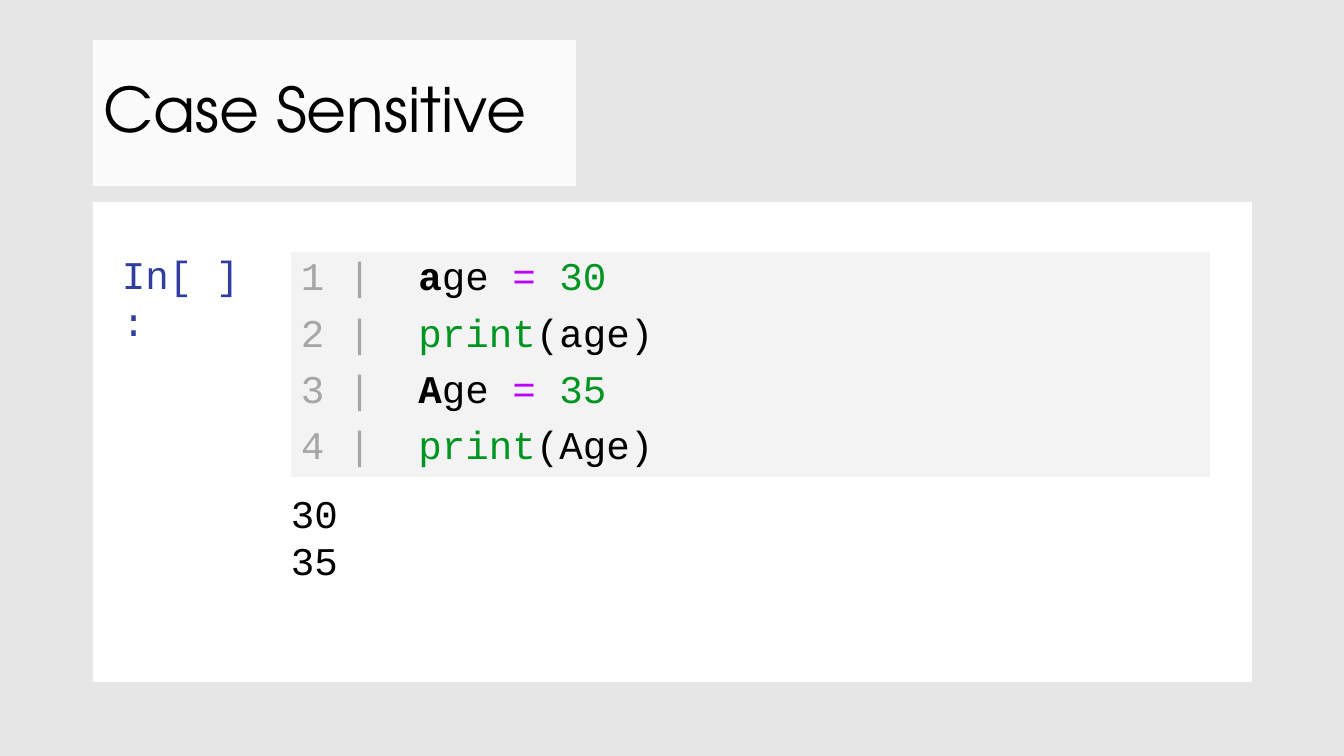
"""Build the "Case Sensitive" slide: a code cell and its printed output."""
from lxml import etree
from pptx import Presentation
from pptx import util as u
from pptx.dml.color import RGBColor
from pptx.enum import shapes, text
from pptx.oxml.ns import qn

PX = 914400 / 100.8
BLACK = RGBColor(0x00, 0x00, 0x00)
WHITE = RGBColor(0xFF, 0xFF, 0xFF)
BACKDROP = RGBColor(0xE7, 0xE6, 0xE6)
CELL = RGBColor(0xF2, 0xF2, 0xF2)
GUTTER = RGBColor(0xA6, 0xA6, 0xA6)
OPERATOR = RGBColor(0xBE, 0x00, 0xFE)
GREEN = RGBColor(0x00, 0x94, 0x21)
PROMPT = RGBColor(0x30, 0x3F, 0x9F)


def px(*lengths):
    return [u.Emu(round(length * PX)) for length in lengths]


def fill_panel(panel, color, opacity=100):
    panel.fill.solid()
    panel.fill.fore_color.rgb = color
    panel.line.fill.background()
    panel.shadow.inherit = False
    if opacity < 100:
        srgb = panel.fill._xPr.find(qn("a:solidFill"))[0]
        etree.SubElement(srgb, qn("a:alpha"), val=str(opacity * 1000))


deck = Presentation()
deck.slide_width, deck.slide_height = px(1344, 756)
slide = deck.slides.add_slide(deck.slide_layouts[5])
slide.background.fill.solid()
slide.background.fill.fore_color.rgb = BACKDROP

title = slide.shapes.title
title.left, title.top, title.width, title.height = px(93, 40, 483, 146)
fill_panel(title, WHITE, 87)
title.text_frame.text = "Case Sensitive"
title.text_frame.auto_size = text.MSO_AUTO_SIZE.NONE
title.text_frame.vertical_anchor = text.MSO_ANCHOR.MIDDLE
heading = title.text_frame.paragraphs[0]
heading.alignment = text.PP_ALIGN.LEFT
heading.line_spacing = 0.9
heading.font.name = "TeX Gyre Adventor"
heading.font.size = u.Pt(44)
heading.font.color.rgb = BLACK

notebook = slide.shapes.add_shape(shapes.MSO_SHAPE.RECTANGLE, *px(93, 202, 1159, 480))
fill_panel(notebook, WHITE)

code_cell = slide.shapes.add_shape(shapes.MSO_SHAPE.RECTANGLE, *px(291, 252, 919, 225))
fill_panel(code_cell, CELL, 87)
code = code_cell.text_frame
code.word_wrap = True
code.vertical_anchor = text.MSO_ANCHOR.TOP

statements = []
for initial, value in (("a", "30"), ("A", "35")):
    statements.append([(initial, BLACK), ("ge ", BLACK), ("= ", OPERATOR), (value, GREEN)])
    statements.append([("print", GREEN), (f"({initial}ge)", BLACK)])

for number, statement in enumerate(statements, 1):
    line = code.paragraphs[0] if number == 1 else code.add_paragraph()
    line.alignment = text.PP_ALIGN.LEFT
    line.line_spacing = 0.9
    line.space_before = u.Pt(10)
    line.font.name = "Courier New"
    line.font.size = u.Pt(28)
    for token, color in [(f"{number} |  ", GUTTER)] + statement:
        run = line.add_run()
        run.text = token
        run.font.color.rgb = color
        if token in ("a", "A"):
            run.font.bold = True

for box, content, color in (
    ((112, 245, 158, 57), "In[ ]:", PROMPT),
    ((281, 484, 483, 105), "30\n35", BLACK),
):
    label = slide.shapes.add_textbox(*px(*box)).text_frame
    label.word_wrap = True
    label.auto_size = text.MSO_AUTO_SIZE.SHAPE_TO_FIT_TEXT
    label.text = content
    for line in label.paragraphs:
        line.font.name = "Courier New"
        line.font.size = u.Pt(28)
        line.font.color.rgb = color

deck.save("out.pptx")
